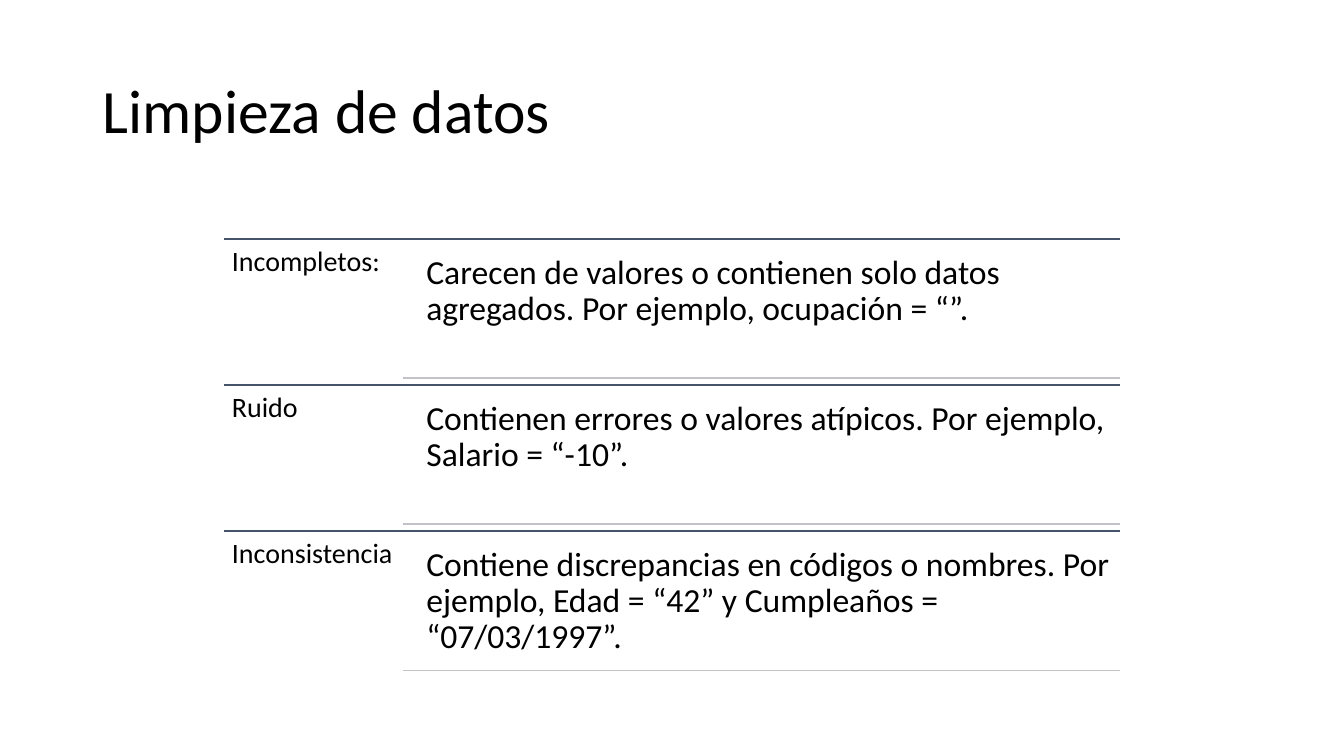
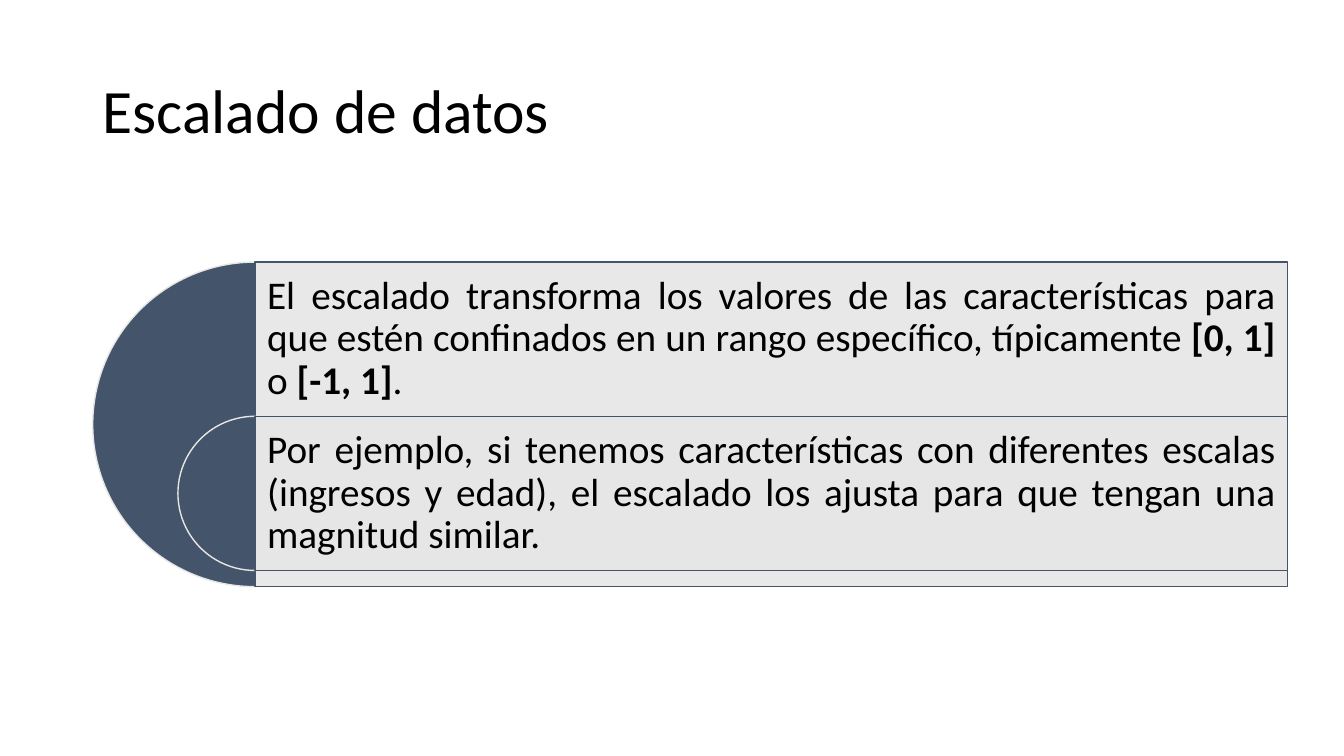
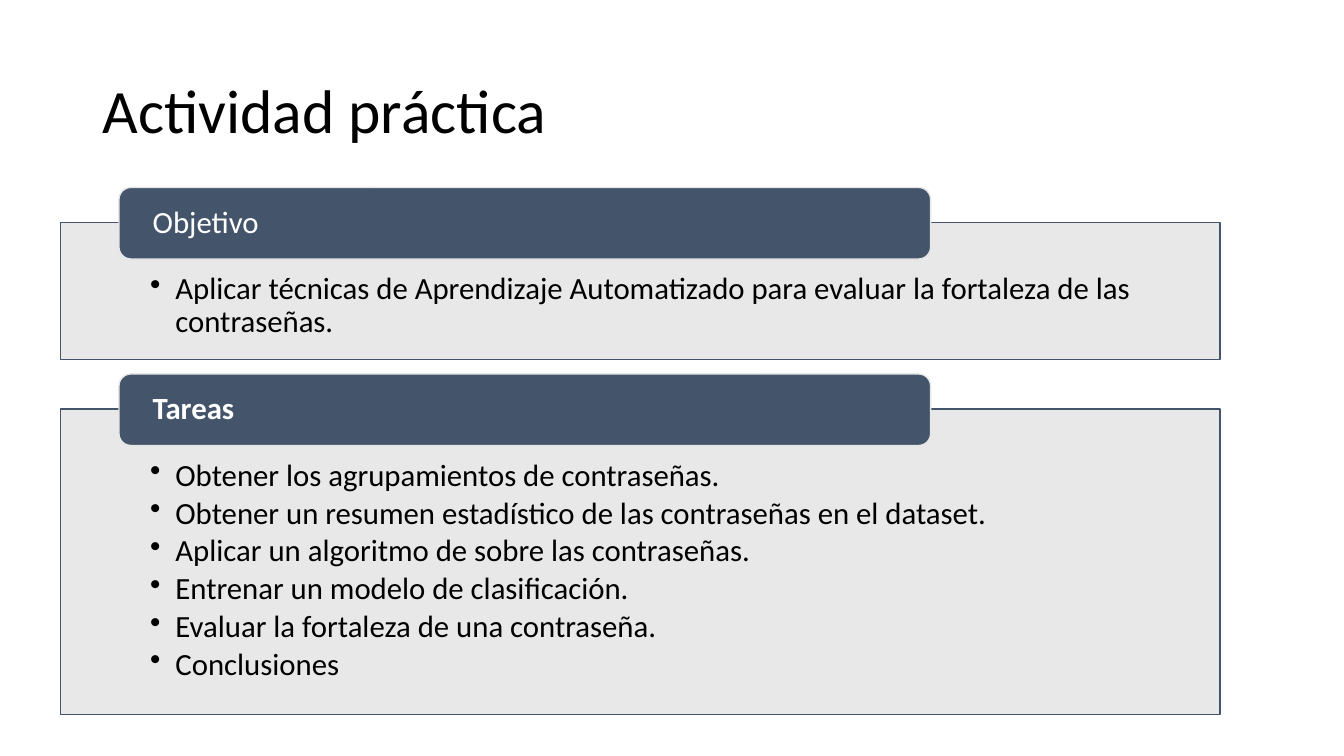
from lxml.etree import SubElement
from pptx import Presentation
from pptx.dml.color import RGBColor
from pptx.enum.shapes import MSO_CONNECTOR as Conn, MSO_SHAPE as Shape
from pptx.enum.text import MSO_ANCHOR as Anchor, PP_ALIGN as Align
from pptx.oxml.ns import qn
from pptx.util import Inches, Pt

FONT = "Calibri"
BLACK, WHITE, NAVY, PALE, GREY = "000000", "FFFFFF", "44546A", "E7E6E6", "C1C3C7"

ISSUES = [
    ("Incompletos:", "Carecen de valores o contienen solo datos agregados. Por ejemplo, ocupación = “”."),
    ("Ruido", "Contienen errores o valores atípicos. Por ejemplo, Salario = “-10”."),
    ("Inconsistencia", "Contiene discrepancias en códigos o nombres. Por ejemplo, Edad = “42” y Cumpleaños = “07/03/1997”."),
]
SCALING = [
    [("El escalado transforma los valores de las características para que estén confinados en un rango específico, típicamente ", False),
     ("[0, 1]", True), (" o ", False), ("[-1, 1]", True), (".", False)],
    [("Por ejemplo, si tenemos características con diferentes escalas (ingresos y edad), el escalado los ajusta para que tengan una magnitud similar.", False)],
]
PANELS = [
    ("Objetivo", False, 2.21, 1.36,
     ["Aplicar técnicas de Aprendizaje Automatizado para evaluar la fortaleza de las contraseñas."]),
    ("Tareas", True, 4.06, 3.03,
     ["Obtener los agrupamientos de contraseñas.",
      "Obtener un resumen estadístico de las contraseñas en el dataset.",
      "Aplicar un algoritmo de sobre las contraseñas.",
      "Entrenar un modelo de clasificación.",
      "Evaluar la fortaleza de una contraseña.",
      "Conclusiones"]),
]


def rgb(code):
    return RGBColor.from_string(code)


def write(shape, paras, size, color=BLACK, pad=(0.1, 0.05, 0.1, 0.05),
          anchor=Anchor.TOP, align=Align.LEFT, bullet=False):
    """Fill a shape with paragraphs, each a list of (text, bold) runs."""
    frame = shape.text_frame
    frame.word_wrap = True
    frame.vertical_anchor = anchor
    (frame.margin_left, frame.margin_top,
     frame.margin_right, frame.margin_bottom) = map(Inches, pad)
    for i, runs in enumerate(paras):
        para = frame.paragraphs[0] if i == 0 else frame.add_paragraph()
        para.alignment = align
        para.line_spacing = 0.9
        if bullet:
            para.space_after = Pt(3.3)
            props = para._p.get_or_add_pPr()
            props.set("marL", str(Inches(0.25)))
            props.set("indent", str(-Inches(0.25)))
            SubElement(props, qn("a:buChar")).set("char", "•")
        for text, bold in runs:
            run = para.add_run()
            run.text = text
            font = run.font
            font.name, font.size, font.bold = FONT, Pt(size), bold
            font.color.rgb = rgb(color)


def label(slide, box, text, size, **style):
    write(slide.shapes.add_textbox(*map(Inches, box)), [[(text, False)]], size, **style)


def block(slide, kind, box, fill, edge, alpha=None):
    shape = slide.shapes.add_shape(kind, *map(Inches, box))
    shape.shadow.inherit = False
    shape.fill.solid()
    shape.fill.fore_color.rgb = rgb(fill)
    if alpha:
        tint = shape._element.spPr.find(qn("a:solidFill"))[0]
        SubElement(tint, qn("a:alpha")).set("val", str(alpha * 1000))
    shape.line.color.rgb = rgb(edge)
    shape.line.width = Pt(1)
    return shape


def panel(slide, box):
    return block(slide, Shape.RECTANGLE, box, PALE, NAVY, 90)


def rule(slide, left, right, y, color):
    line = slide.shapes.add_connector(Conn.STRAIGHT, *map(Inches, (left, y, right, y)))
    line.line.color.rgb = rgb(color)
    line.line.width = Pt(1)
    SubElement(line._element.spPr, qn("a:effectLst"))


def start(deck, title):
    slide = deck.slides.add_slide(deck.slide_layouts[6])
    label(slide, (0.92, 0.4, 11.5, 1.45), title, 44, anchor=Anchor.MIDDLE)
    return slide


def cleaning(deck):
    slide = start(deck, "Limpieza de datos")
    left, right, top, pitch = 2.22, 11.11, 2.37, 1.45
    for i, (name, text) in enumerate(ISSUES):
        y = top + i * pitch
        rule(slide, left, right, y, NAVY)
        label(slide, (left, y, 1.78, pitch), name, 20, pad=[0.08] * 4)
        label(slide, (4.13, y + 0.06, 6.98, 1.31), text, 24, pad=[0.1] * 4)
        rule(slide, 4, right, y + 1.38, GREY)


def scaling(deck):
    slide = start(deck, "Escalado de datos")
    left, top, width, full, step, gap = 2.53, 2.6, 10.24, 3.22, 1.53, 0.12
    for i, (runs, size) in enumerate(zip(SCALING, (full, step))):
        y = top + i * step
        pie = block(slide, Shape.PIE, (left - size / 2, y, size, size), NAVY, PALE)
        pie.adjustments[0], pie.adjustments[1] = 54, 162
        write(panel(slide, (left, y, width, size)), [runs], 28,
              pad=(gap, gap, gap, gap + size - step),
              anchor=Anchor.MIDDLE, align=Align.JUSTIFY)


def practice(deck):
    slide = start(deck, "Actividad práctica")
    for name, bold, top, height, items in PANELS:
        write(panel(slide, (0.6, top, 11.5, height)), [[(item, False)] for item in items],
              22, pad=(0.89, 0.5, 0.89, 0.17), bullet=True)
        tab = block(slide, Shape.ROUNDED_RECTANGLE, (1.18, top - 0.35, 8.05, 0.71), NAVY, PALE)
        write(tab, [[(name, bold)]], 22, WHITE, (0.3, 0, 0.3, 0), Anchor.MIDDLE)


def main():
    deck = Presentation()
    deck.slide_width, deck.slide_height = Inches(13.33), Inches(7.5)
    for build in (cleaning, scaling, practice):
        build(deck)
    deck.save("out.pptx")


if __name__ == "__main__":
    main()
